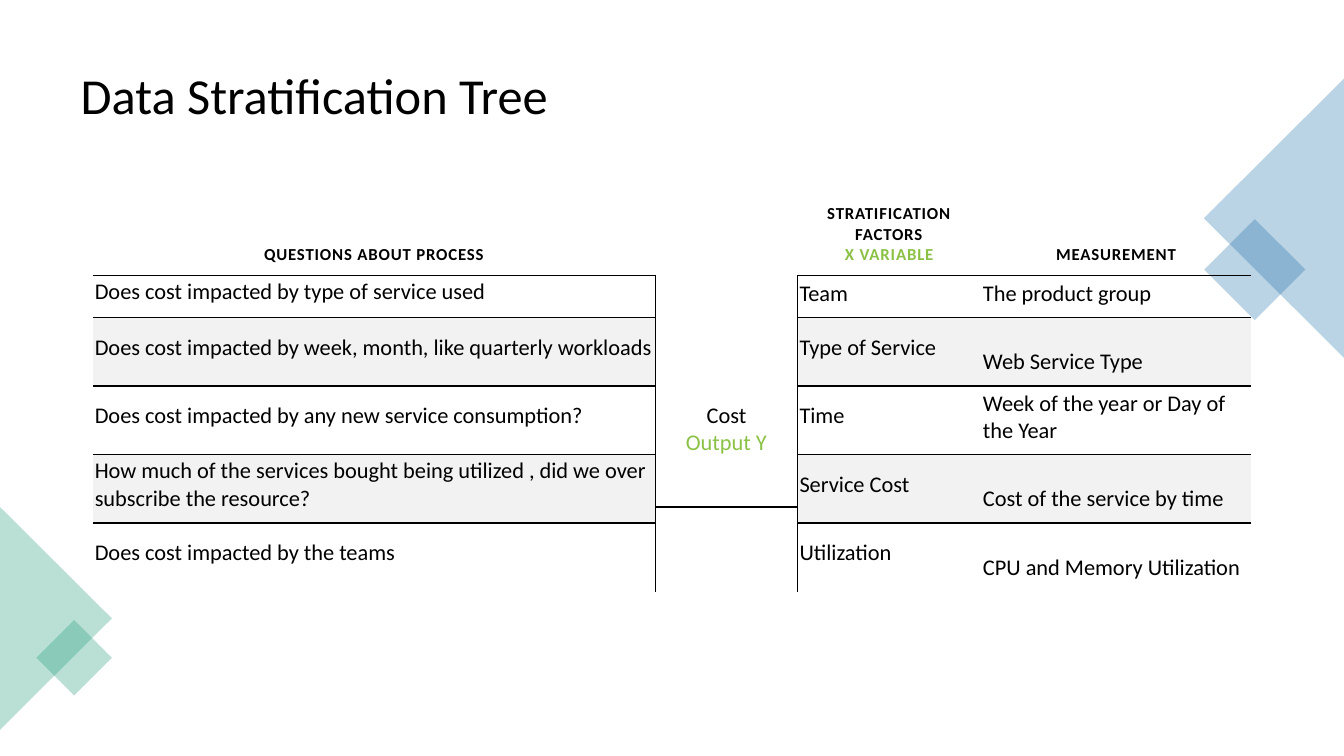
import pptx
import pptx.dml.color
import pptx.enum.shapes
import pptx.enum.text
import pptx.oxml.ns
import pptx.util
from lxml import etree

Inches, Pt = pptx.util.Inches, pptx.util.Pt
qn = pptx.oxml.ns.qn
ALIGN = pptx.enum.text.PP_ALIGN
ANCHOR = pptx.enum.text.MSO_ANCHOR
SHAPE = pptx.enum.shapes.MSO_SHAPE

BLACK, GREEN, BAND = "000000", "8BC145", "F2F2F2"
BLUE, TEAL = "1D6FA9", "1D9A78"
NO_STYLE = "{2D5ABB26-0587-4C30-8999-92F81FD0307C}"

HEADER = dict(size=Pt(12), bold=True)
BODY = dict(size=Pt(16), bold=False)

COLUMNS = [5.58, 1.41, 1.82, 2.68]
ROWS = [0.85, 0.42] + [0.68] * 4
QUESTIONS = [
    ("Does cost impacted by type of service used", "Team", "The product group"),
    ("Does cost impacted by week, month, like quarterly workloads",
     "Type of Service", "Web Service Type"),
    ("Does cost impacted by any new service consumption?",
     "Time", "Week of the year or Day of the Year"),
    ("How much of the services bought being utilized , did we over subscribe the resource?",
     "Service Cost", "Cost of the service by time"),
    ("Does cost impacted by the teams", "Utilization", "CPU and Memory Utilization"),
]


def rgb(code):
    return pptx.dml.color.RGBColor.from_string(code)


def assign(target, values):
    for name, value in values.items():
        setattr(target, name, value)


class Slide:
    """Holds the slide and its common style."""

    def __init__(self, prs, font="Calibri"):
        self.s = prs.slides.add_slide(prs.slide_layouts[5])
        self.font = font

    def run(self, p, text, color=BLACK, spacing=0, **font):
        r = p.add_run()
        r.text = text
        assign(r.font, dict(font, name=self.font))
        r.font.color.rgb = rgb(color)
        if spacing:
            r.font._element.set("spc", str(spacing))

    def title(self, text, x, y, w, h):
        sp = self.s.shapes.title
        assign(sp, dict(left=Inches(x), top=Inches(y), width=Inches(w), height=Inches(h)))
        sp.text_frame.vertical_anchor = ANCHOR.MIDDLE
        p = sp.text_frame.paragraphs[0]
        assign(p, dict(alignment=ALIGN.LEFT, line_spacing=0.9))
        self.run(p, text, size=Pt(36))

    def glass(self, kind, x, y, w, h, rotation, color):
        """Draw a rotated shape with a 30 % opaque fill."""
        sp = self.s.shapes.add_shape(kind, Inches(x), Inches(y), Inches(w), Inches(h))
        sp.rotation = rotation
        sp.shadow.inherit = False
        sp.line.fill.background()
        sp.fill.solid()
        sp.fill.fore_color.rgb = rgb(color)
        srgb = sp._element.spPr.find(qn("a:solidFill")).find(qn("a:srgbClr"))
        etree.SubElement(srgb, qn("a:alpha"), val="30000")

    def line(self, x1, y1, x2, y2):
        straight = pptx.enum.shapes.MSO_CONNECTOR.STRAIGHT
        cx = self.s.shapes.add_connector(straight, Inches(x1), Inches(y1), Inches(x2), Inches(y2))
        cx.line.width = Pt(1)
        cx.line.color.rgb = rgb(BLACK)
        etree.SubElement(cx._element.spPr, qn("a:effectLst"))

    def table(self, x, y, columns, rows):
        frame = self.s.shapes.add_table(len(rows), len(columns), Inches(x), Inches(y),
                                        Inches(sum(columns)), Inches(sum(rows)))
        tbl = frame.table
        assign(tbl, dict(first_row=False, horz_banding=False))
        frame._element.find(".//" + qn("a:tableStyleId")).text = NO_STYLE
        for column, width in zip(tbl.columns, columns):
            column.width = Inches(width)
        for row, height in zip(tbl.rows, rows):
            row.height = Inches(height)
        return tbl

    def borders(self, cell, sides):
        """Draw 1 pt borders on the sides named by letters among L, R, T and B."""
        tcPr = cell._tc.get_or_add_tcPr()
        for side in "LRTB":
            ln = etree.SubElement(tcPr, qn("a:ln" + side), w=str(Pt(1)))
            if side in sides:
                fill = etree.SubElement(ln, qn("a:solidFill"))
                etree.SubElement(fill, qn("a:srgbClr"), val=BLACK)
            else:
                etree.SubElement(ln, qn("a:noFill"))

    def cell(self, cell, sides="", fill=None):
        self.borders(cell, sides)
        if fill:
            cell.fill.solid()
            cell.fill.fore_color.rgb = rgb(fill)
        else:
            cell.fill.background()

    def cell_text(self, cell, paragraphs, anchor, align=ALIGN.LEFT, top=0.02, **font):
        """Write paragraphs, each a list of (text, colour) lines."""
        assign(cell, dict(margin_left=Inches(0.02), margin_right=Inches(0.02),
                          margin_top=Inches(top), margin_bottom=Inches(0.1),
                          vertical_anchor=anchor))
        tf = cell.text_frame
        for i, lines in enumerate(paragraphs):
            p = tf.add_paragraph() if i else tf.paragraphs[0]
            p.alignment = align
            for j, (text, color) in enumerate(lines):
                if j:
                    p.add_line_break()
                self.run(p, text, color, **font)


def stratification_table(slide):
    tbl = slide.table(0.92, 1.88, COLUMNS, ROWS)
    headers = {
        0: [("QUESTIONS ABOUT PROCESS", BLACK)],
        2: [("STRATIFICATION FACTORS", BLACK), ("X VARIABLE", GREEN)],
        3: [("MEASUREMENT", BLACK)],
    }
    slide.cell(tbl.cell(0, 1))
    for c, lines in headers.items():
        slide.cell(tbl.cell(0, c), "B")
        slide.cell_text(tbl.cell(0, c), [lines], ANCHOR.BOTTOM, ALIGN.CENTER,
                        top=0.1, spacing=60, **HEADER)

    last = len(QUESTIONS)
    for r, texts in enumerate(QUESTIONS, 1):
        rules = "T" if r == last else "TB"
        fill = None if r % 2 else BAND
        slide.cell(tbl.cell(r, 1), "LR")
        for c, side, text in zip((0, 2, 3), ("R", "L", ""), texts):
            low = c == 3 or (c == 2 and r == 1)
            slide.cell(tbl.cell(r, c), rules + side, fill)
            slide.cell_text(tbl.cell(r, c), [[(text, BLACK)]],
                            ANCHOR.BOTTOM if low else ANCHOR.MIDDLE, **BODY)

    output = tbl.cell(1, 1)
    output.merge(tbl.cell(last, 1))
    slide.cell_text(output, [[("Cost", BLACK)], [("Output Y", GREEN)]],
                    ANCHOR.MIDDLE, ALIGN.CENTER, **BODY)


def main():
    prs = pptx.Presentation()
    assign(prs, dict(slide_width=Inches(13.33), slide_height=Inches(7.5)))
    slide = Slide(prs)
    slide.title("Data Stratification Tree", 0.7, 0.35, 11.93, 1.24)
    slide.glass(SHAPE.RECTANGLE, 12.09, 2.32, 0.71, 0.71, 45, BLUE)
    slide.glass(SHAPE.ISOSCELES_TRIANGLE, 11.25, 1.47, 2.77, 1.39, 270, BLUE)
    slide.glass(SHAPE.ISOSCELES_TRIANGLE, -0.55, 5.58, 2.21, 1.11, 90, TEAL)
    slide.glass(SHAPE.RECTANGLE, 0.47, 6.26, 0.53, 0.53, 45, TEAL)
    stratification_table(slide)
    slide.line(6.51, 5.03, 7.9, 5.03)
    prs.save("out.pptx")


if __name__ == "__main__":
    main()
